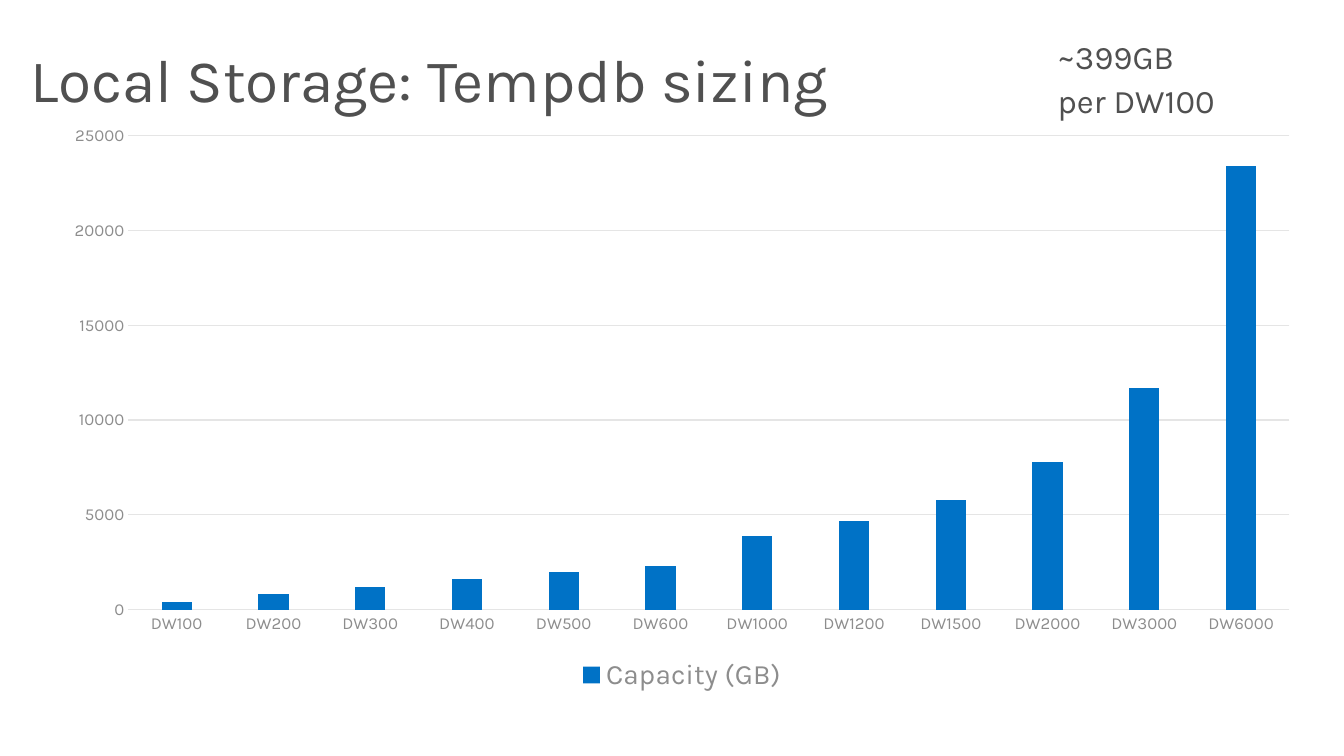
import dataclasses

import pptx
import pptx.chart.data
import pptx.dml.color
import pptx.enum.chart
import pptx.enum.text
import pptx.util

Inches = pptx.util.Inches
Pt = pptx.util.Pt


@dataclasses.dataclass(frozen=True)
class Theme:
    font: str = "Karla"
    text: str = "505050"
    muted: str = "8D8D8D"
    grid: str = "E5E5E5"
    bar: str = "0072C6"
    title_size: float = 43.1
    note_size: float = 23.5
    legend_size: float = 20
    axis_size: float = 12
    chart_size: float = 10


# Capacity in GB at each service level
TEMPDB_CAPACITY = {
    "DW100": 400, "DW200": 800, "DW300": 1200, "DW400": 1600,
    "DW500": 2000, "DW600": 2300, "DW1000": 3900, "DW1200": 4700,
    "DW1500": 5800, "DW2000": 7800, "DW3000": 11700, "DW6000": 23400,
}


def rgb(value):
    return pptx.dml.color.RGBColor.from_string(value)


def format_font(font, name, size, color):
    font.name = name
    font.size = Pt(size)
    font.color.rgb = rgb(color)


def write_text(frame, text, *, font, size, color, line_spacing=0.9, space_after=0):
    """Write one paragraph for each line of text."""
    for number, line in enumerate(text.split("\n")):
        paragraph = frame.paragraphs[0] if number == 0 else frame.add_paragraph()
        paragraph.line_spacing = line_spacing
        paragraph.space_after = Pt(space_after)
        run = paragraph.add_run()
        run.text = line
        format_font(run.font, font, size, color)


class SlideBuilder:
    def __init__(self, slide, theme):
        self.slide = slide
        self.theme = theme

    def text(self, text, place, insets, size, middle=False, space_after=0):
        box = self.slide.shapes.add_textbox(*map(Inches, place))
        frame = box.text_frame
        frame.word_wrap = True
        (frame.margin_left, frame.margin_top,
         frame.margin_right, frame.margin_bottom) = map(Inches, insets)
        anchor = pptx.enum.text.MSO_ANCHOR
        frame.vertical_anchor = anchor.MIDDLE if middle else anchor.TOP
        write_text(frame, text, font=self.theme.font, size=size,
                   color=self.theme.text, space_after=space_after)

    def style_grid_line(self, line):
        line.color.rgb = rgb(self.theme.grid)
        line.width = Pt(0.75)

    def column_chart(self, series_name, values, place):
        theme = self.theme
        capacity_data = pptx.chart.data.CategoryChartData()
        capacity_data.categories = list(values)
        capacity_data.add_series(series_name, list(values.values()))
        chart = self.slide.shapes.add_chart(
            pptx.enum.chart.XL_CHART_TYPE.COLUMN_CLUSTERED,
            *map(Inches, place), capacity_data).chart
        format_font(chart.font, theme.font, theme.chart_size, theme.text)
        chart.has_title = False

        # Columns
        plot = chart.plots[0]
        plot.vary_by_categories = False
        plot.gap_width = 219
        plot.overlap = -27
        fill = plot.series[0].format.fill
        fill.solid()
        fill.fore_color.rgb = rgb(theme.bar)

        # Axes
        for axis in (chart.category_axis, chart.value_axis):
            axis.major_tick_mark = pptx.enum.chart.XL_TICK_MARK.NONE
            axis.minor_tick_mark = pptx.enum.chart.XL_TICK_MARK.NONE
            format_font(axis.tick_labels.font, theme.font, theme.axis_size, theme.muted)
        self.style_grid_line(chart.category_axis.format.line)
        chart.value_axis.format.line.fill.background()
        chart.value_axis.has_major_gridlines = True
        self.style_grid_line(chart.value_axis.major_gridlines.format.line)

        # Legend
        chart.has_legend = True
        chart.legend.position = pptx.enum.chart.XL_LEGEND_POSITION.BOTTOM
        chart.legend.include_in_layout = False
        format_font(chart.legend.font, theme.font, theme.legend_size, theme.muted)


def main():
    deck = pptx.Presentation()
    deck.slide_width = Inches(13.33)
    deck.slide_height = Inches(7.5)
    theme = Theme()
    builder = SlideBuilder(deck.slides.add_slide(deck.slide_layouts[6]), theme)

    # Heading
    builder.text("Local Storage: Tempdb sizing", (0, 0, 13.33, 1.45),
                 (0.3, 0.25, 0.1, 0.05), theme.title_size, middle=True)

    # Capacity by service level
    builder.column_chart("Capacity (GB)", TEMPDB_CAPACITY, (0.49, 1.13, 12.55, 5.79))

    # Rule of thumb
    builder.text("~399GB\nper DW100", (10.29, 0.25, 2.59, 1.11),
                 (0.2, 0.16, 0.2, 0.16), theme.note_size, space_after=5.9)

    deck.save("out.pptx")


if __name__ == "__main__":
    main()
